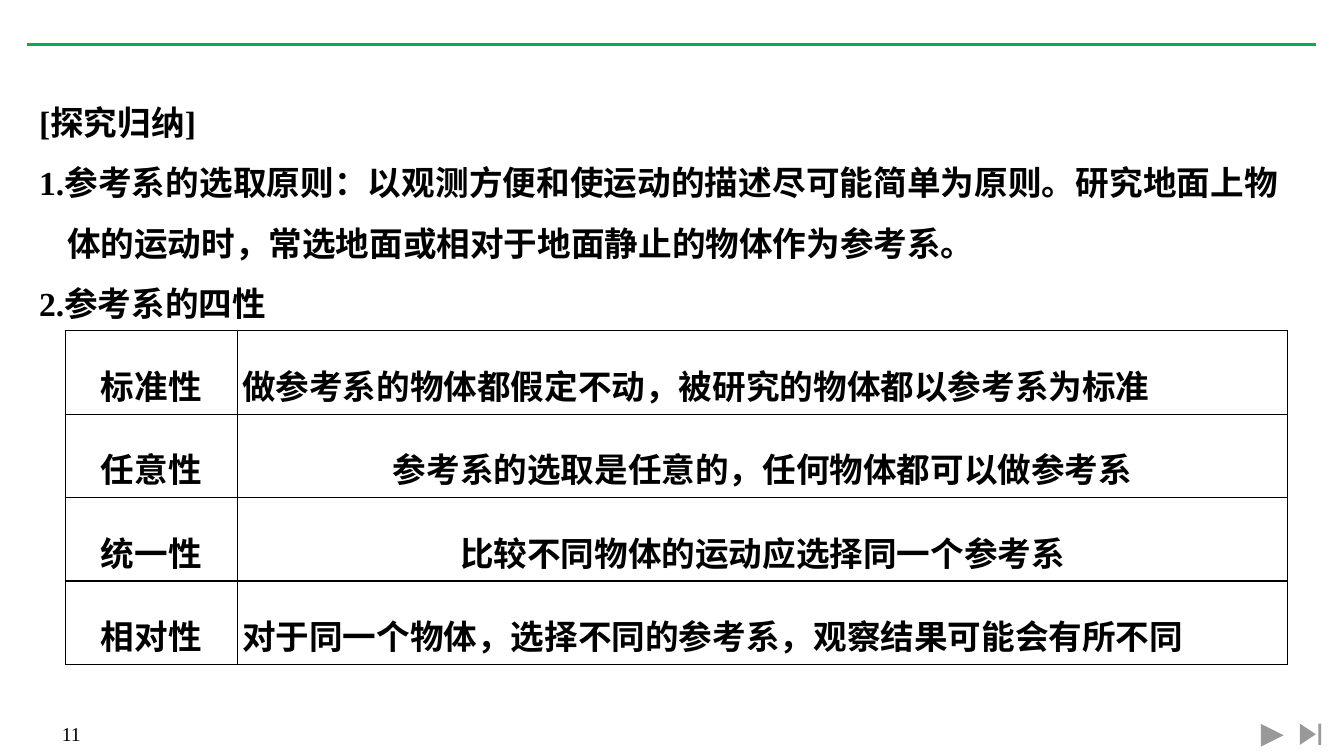
from dataclasses import dataclass

from lxml.etree import SubElement as Sub
from pptx import Presentation
from pptx.dml.color import RGBColor as RGB
from pptx.enum.lang import MSO_LANGUAGE_ID as Lang
from pptx.enum.shapes import MSO_CONNECTOR as Link, MSO_SHAPE as Form
from pptx.enum.text import MSO_ANCHOR as Anchor, MSO_AUTO_SIZE as Fit, PP_ALIGN as Align
from pptx.oxml.ns import qn
from pptx.util import Pt


@dataclass(frozen=True)
class Theme:
    ink: str = "000000"
    paper: str = "FFFFFF"
    green: str = "00B050"
    face: str = "Times New Roman"
    body: int = 24
    small: int = 14
    lead: float = 1.5


class Page:
    def __init__(self, slide, theme):
        self.slide = slide
        self.theme = theme

    def add_text(self, para, text, align, size, bold=True):
        para.alignment = align
        run = para.add_run()
        run.text = text
        font = run.font
        font.name = self.theme.face
        font.size = Pt(size)
        font.bold = bold
        font.color.rgb = RGB.from_string(self.theme.ink)
        font.language_id = Lang.SIMPLIFIED_CHINESE

    def frame(self, x, y, w, h):
        box = self.slide.shapes.add_textbox(Pt(x), Pt(y), Pt(w), Pt(h))
        frame = box.text_frame
        frame.word_wrap = True
        frame.auto_size = Fit.SHAPE_TO_FIT_TEXT
        return frame

    def label(self, text, *area):
        para = self.frame(*area).paragraphs[0]
        self.add_text(para, text, Align.CENTER, self.theme.small, False)

    def notes(self, items, *area):
        frame = self.frame(*area)
        for i, (text, align) in enumerate(items):
            para = frame.add_paragraph() if i else frame.paragraphs[0]
            para.line_spacing = self.theme.lead
            props = para._p.get_or_add_pPr()
            props.set("marL", str(Pt(20)))
            props.set("indent", str(Pt(-36)))
            self.add_text(para, text, align, self.theme.body)

    def button(self, form, x, y, w, h):
        shape = self.slide.shapes.add_shape(form, Pt(x), Pt(y), Pt(w), Pt(h))
        shape.shadow.inherit = False
        shape.fill.solid()
        shape.fill.fore_color.rgb = RGB.from_string(self.theme.paper)
        shape.line.fill.background()

    def rule(self, x, y, end):
        line = self.slide.shapes.add_connector(Link.STRAIGHT, Pt(x), Pt(y), Pt(end), Pt(y))
        line.line.color.rgb = RGB.from_string(self.theme.green)
        line.line.width = Pt(2.25)
        Sub(line._element.spPr, qn("a:effectLst"))

    def border(self, cell):
        props = cell._tc.get_or_add_tcPr()
        for side in ("lnL", "lnR", "lnT", "lnB"):
            edge = Sub(props, qn("a:" + side), w=str(Pt(1)))
            fill = Sub(edge, qn("a:solidFill"))
            Sub(fill, qn("a:srgbClr"), val=self.theme.ink)

    def table(self, rows, x, y, widths, high):
        shape = self.slide.shapes.add_table(
            len(rows), len(widths), Pt(x), Pt(y), Pt(sum(widths)), Pt(high * len(rows)))
        grid = shape.table
        grid.first_row = grid.horz_banding = False
        for col, wide in zip(grid.columns, widths):
            col.width = Pt(wide)
        for r, (name, text, align) in enumerate(rows):
            grid.rows[r].height = Pt(high)
            for c, (words, side) in enumerate(((name, Align.CENTER), (text, align))):
                cell = grid.cell(r, c)
                cell.margin_left = cell.margin_right = Pt(3.6)
                cell.margin_top = cell.margin_bottom = 0
                cell.vertical_anchor = Anchor.MIDDLE
                self.border(cell)
                cell.fill.background()
                para = cell.text_frame.paragraphs[0]
                para.line_spacing = self.theme.lead
                self.add_text(para, words, side, self.theme.body)


def main():
    deck = Presentation()
    deck.slide_width = Pt(960)
    deck.slide_height = Pt(540)
    page = Page(deck.slides.add_slide(deck.slide_layouts[6]), Theme())

    page.label("11", 34, 512, 34, 24.5)
    page.button(Form.ACTION_BUTTON_FORWARD_OR_NEXT, 898, 514, 21.6, 22.4)
    page.button(Form.ACTION_BUTTON_END, 926, 512.6, 20.2, 23.8)
    page.rule(19, 31.7, 940.3)
    page.notes([
        ("[探究归纳]", Align.JUSTIFY),
        ("1.参考系的选取原则：以观测方便和使运动的描述尽可能简单为原则。"
         "研究地面上物体的运动时，常选地面或相对于地面静止的物体作为参考系。", Align.JUSTIFY),
        ("2.参考系的四性", Align.LEFT),
    ], 20.9, 54.7, 899.3, 176.4)
    page.table([
        ("标准性", "做参考系的物体都假定不动，被研究的物体都以参考系为标准", Align.JUSTIFY),
        ("任意性", "参考系的选取是任意的，任何物体都可以做参考系", Align.CENTER),
        ("统一性", "比较不同物体的运动应选择同一个参考系", Align.CENTER),
        ("相对性", "对于同一个物体，选择不同的参考系，观察结果可能会有所不同", Align.JUSTIFY),
    ], 46.8, 236.2, (122.6, 750.4), 59.6)
    deck.save("out.pptx")


if __name__ == "__main__":
    main()
